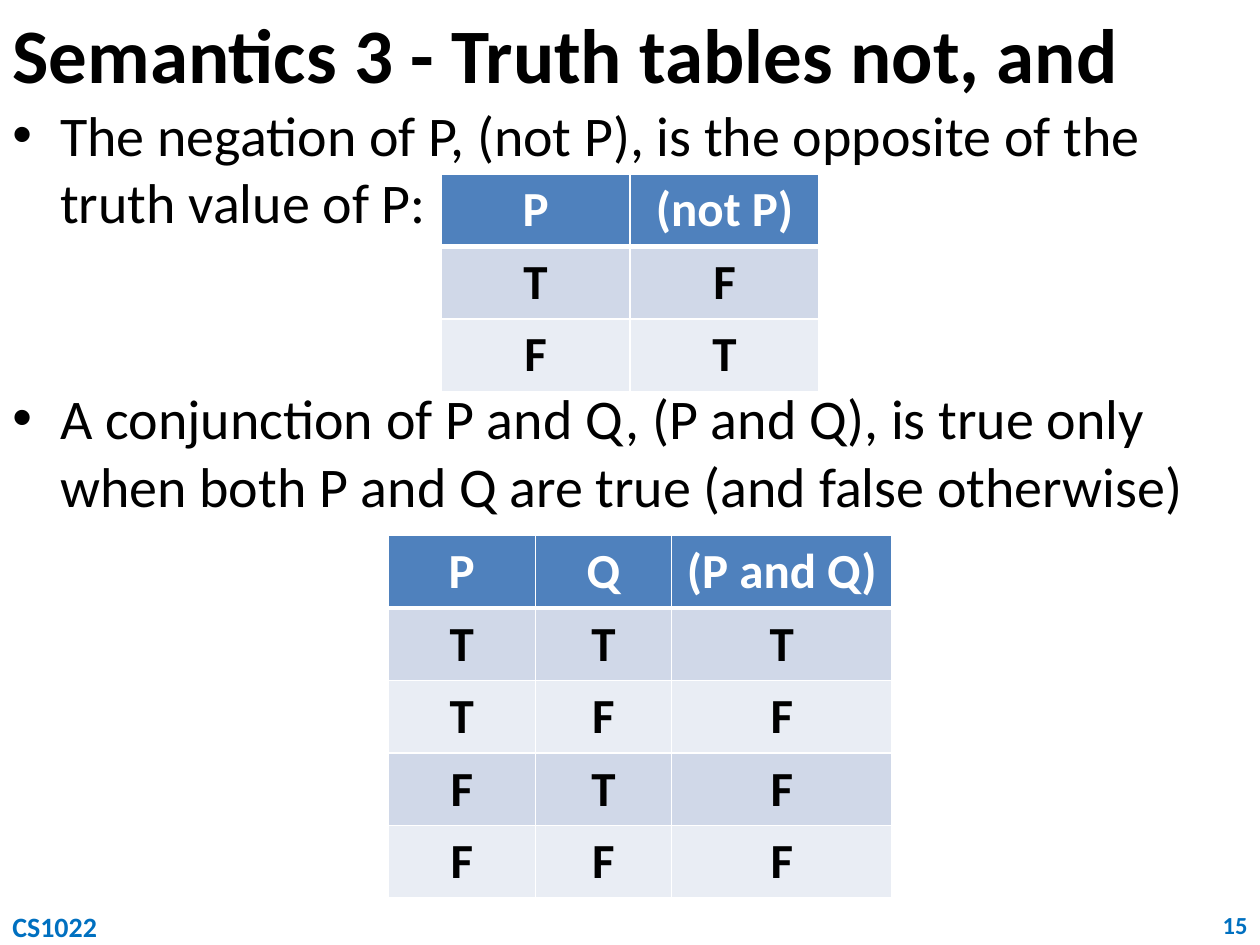
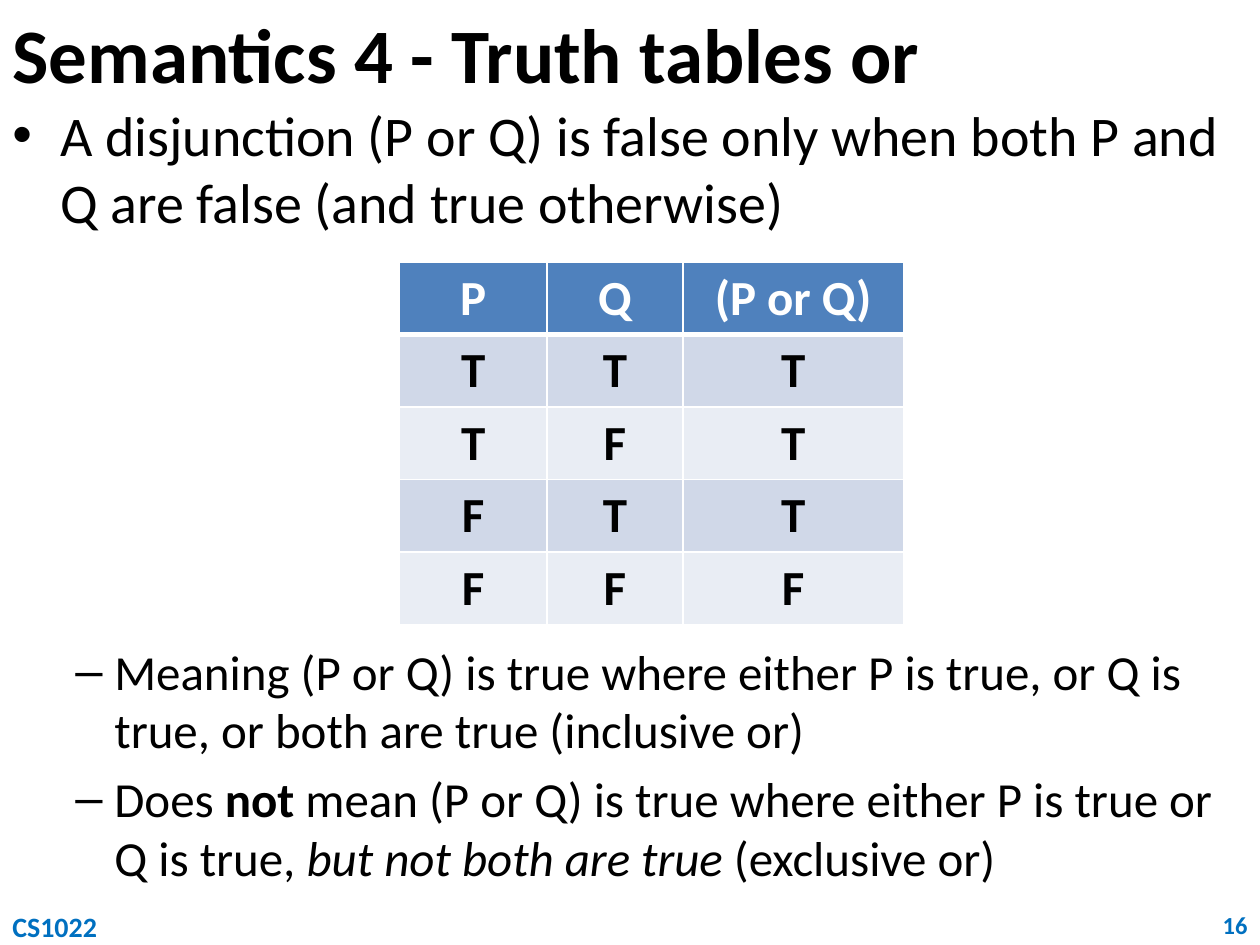
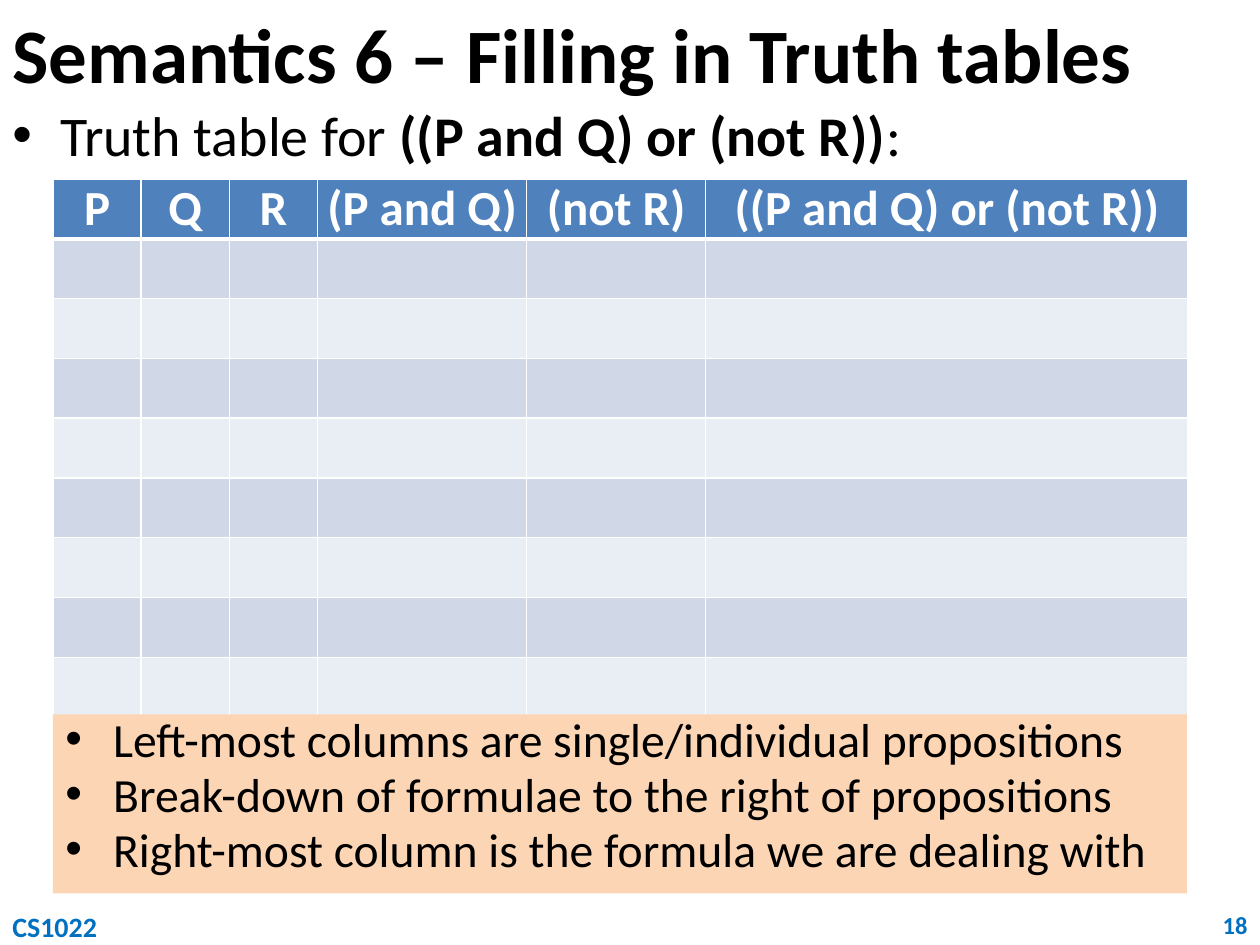
from dataclasses import dataclass
from typing import Sequence

from lxml.etree import SubElement
from pptx import Presentation
from pptx.dml.color import RGBColor
from pptx.enum.shapes import MSO_SHAPE
from pptx.enum.text import MSO_ANCHOR, MSO_AUTO_SIZE, PP_ALIGN
from pptx.oxml.ns import qn
from pptx.util import Inches, Pt

FONT = "Calibri"
BLACK = RGBColor(0x00, 0x00, 0x00)
WHITE = RGBColor(0xFF, 0xFF, 0xFF)
BLUE = RGBColor(0x00, 0x70, 0xC0)
HEAD = RGBColor(0x4F, 0x81, 0xBD)
BANDS = (RGBColor(0xD0, 0xD8, 0xE8), RGBColor(0xE9, 0xED, 0xF4))
PEACH = RGBColor(0xFC, 0xD5, 0xB5)
CELL_SIZE = 28
LINE = CELL_SIZE * 1.22 / 72


@dataclass(frozen=True)
class Run:
    text: str
    bold: bool = False
    slant: bool = False


@dataclass(frozen=True)
class Bullet:
    runs: Sequence[Run]
    size: float = 32
    before: float = 0
    mark: str = "•"
    margin: float = 0.38
    hang: float = 0.38
    pitch: float = 1


@dataclass(frozen=True)
class Grid:
    left: float
    top: float
    widths: Sequence[float]
    head: Sequence[str]
    rows: Sequence[Sequence[str]]
    side: float = 0.1
    edge: float = 0.05


@dataclass(frozen=True)
class Page:
    title: str
    number: int
    points: Sequence[Bullet]
    grids: Sequence[Grid]
    notes: Sequence[Bullet] = ()


def write(para, text: str, *, size: float, color: RGBColor = BLACK,
          bold: bool = False, slant: bool = False, align=PP_ALIGN.LEFT) -> None:
    para.alignment = align
    run = para.add_run()
    run.text = text
    font = run.font
    font.name, font.size, font.bold, font.italic = FONT, Pt(size), bold, slant
    font.color.rgb = color


def setup(frame) -> None:
    frame.word_wrap = True
    frame.auto_size = MSO_AUTO_SIZE.NONE
    frame.vertical_anchor = MSO_ANCHOR.TOP


def place(shape, left: float, top: float, width: float, height: float) -> None:
    shape.left, shape.top = Inches(left), Inches(top)
    shape.width, shape.height = Inches(width), Inches(height)


def add_box(slide, left: float, top: float, width: float, height: float):
    box = slide.shapes.add_textbox(
        Inches(left), Inches(top), Inches(width), Inches(height))
    setup(box.text_frame)
    return box.text_frame


def fill_list(frame, points: Sequence[Bullet]) -> None:
    for index, point in enumerate(points):
        para = frame.add_paragraph() if index else frame.paragraphs[0]
        props = para._p.get_or_add_pPr()
        props.set("marL", str(Inches(point.margin)))
        props.set("indent", str(-Inches(point.hang)))
        SubElement(props, qn("a:buFont"), typeface="Arial")
        SubElement(props, qn("a:buChar"), char=point.mark)
        para.space_before = Pt(point.before)
        para.line_spacing = point.pitch
        for run in point.runs:
            write(para, run.text, size=point.size, bold=run.bold, slant=run.slant)


def rule_cell(cell, is_head: bool) -> None:
    props = cell._tc.get_or_add_tcPr()
    for index, side in enumerate(("lnL", "lnR", "lnT", "lnB")):
        width = 3 if is_head and side == "lnB" else 1
        line = props.makeelement(qn(f"a:{side}"), {"w": str(Pt(width))})
        paint = SubElement(line, qn("a:solidFill"))
        SubElement(paint, qn("a:srgbClr"), val=str(WHITE))
        props.insert(index, line)


def add_grid(slide, grid: Grid) -> None:
    lines = [grid.head, *grid.rows]
    height = Inches(LINE + 2 * grid.edge)
    frame = slide.shapes.add_table(
        len(lines), len(grid.widths), Inches(grid.left), Inches(grid.top),
        Inches(sum(grid.widths)), height * len(lines))
    table = frame.table
    for column, width in zip(table.columns, grid.widths):
        column.width = Inches(width)
    for index, (row, texts) in enumerate(zip(table.rows, lines)):
        row.height = height
        is_head = index == 0
        for cell, text in zip(row.cells, texts):
            cell.margin_left = cell.margin_right = Inches(grid.side)
            cell.margin_top = cell.margin_bottom = Inches(grid.edge)
            cell.vertical_anchor = MSO_ANCHOR.MIDDLE
            cell.fill.solid()
            cell.fill.fore_color.rgb = HEAD if is_head else BANDS[(index - 1) % 2]
            rule_cell(cell, is_head)
            if text:
                write(cell.text_frame.paragraphs[0], text, size=CELL_SIZE, bold=True,
                      color=WHITE if is_head else BLACK, align=PP_ALIGN.CENTER)


def add_notes(slide, notes: Sequence[Bullet]) -> None:
    panel = slide.shapes.add_shape(
        MSO_SHAPE.RECTANGLE, Inches(0.42), Inches(5.67), Inches(9), Inches(1.42))
    panel.shadow.inherit = False
    panel.fill.solid()
    panel.fill.fore_color.rgb = PEACH
    panel.line.fill.background()
    setup(panel.text_frame)
    fill_list(panel.text_frame, notes)


def add_page(deck, page: Page) -> None:
    slide = deck.slides.add_slide(deck.slide_layouts[5])
    title = slide.shapes.title
    place(title, 0, 0, 10, 0.75)
    setup(title.text_frame)
    write(title.text_frame.paragraphs[0], page.title, size=44, bold=True)
    fill_list(add_box(slide, 0, 0.75, 10, 6.42), page.points)
    number = add_box(slide, 9.58, 7.17, 0.42, 0.33)
    write(number.paragraphs[0], str(page.number), size=14, color=BLUE, bold=True,
          align=PP_ALIGN.RIGHT)
    course = add_box(slide, 0, 7.17, 0.92, 0.33)
    write(course.paragraphs[0], "CS1022", size=16, color=BLUE, bold=True)
    for grid in page.grids:
        add_grid(slide, grid)
    if page.notes:
        add_notes(slide, page.notes)


def point(*runs: Run, before: float = 0) -> Bullet:
    return Bullet(runs, before=before)


def dash(*runs: Run, before: float) -> Bullet:
    return Bullet(runs, 28, before, "–", 0.81, 0.31)


def note(text: str, before: float = 5.4) -> Bullet:
    return Bullet([Run(text)], 27.2, before, pitch=0.8)


PAIR = (1.17, 1.08, 1.75)
PAGES = (
    Page(
        "Semantics 3 - Truth tables not, and", 15,
        [point(Run("The negation of P, (not P), is the opposite of the "
                   "truth value of P:")),
         point(Run("A conjunction of P and Q, (P and Q), is true only when "
                   "both P and Q are true (and false otherwise)"), before=85)],
        [Grid(3.5, 1.38, (1.5, 1.5), ("P", "(not P)"), ("TF", "FT")),
         Grid(3.08, 4.25, PAIR, ("P", "Q", "(P and Q)"),
              ("TTT", "TFF", "FTF", "FFF"))],
    ),
    Page(
        "Semantics 4 - Truth tables or", 16,
        [point(Run("A disjunction (P or Q) is false only when both P and Q "
                   "are false (and true otherwise)")),
         dash(Run("Meaning (P or Q) is true where either P is true, or Q is "
                  "true, or both are true (inclusive or)"), before=232),
         dash(Run("Does "), Run("not", bold=True),
              Run(" mean (P or Q) is true where either P is true or Q is true, "),
              Run("but not both are true", slant=True),
              Run(" (exclusive or)"), before=5.6)],
        [Grid(3.17, 2.08, PAIR, ("P", "Q", "(P or Q)"),
              ("TTT", "TFT", "FTT", "FFF"))],
    ),
    Page(
        "Semantics 6 – Filling in Truth tables", 18,
        [point(Run("Truth table for "), Run("((P and Q) or (not R))", bold=True),
               Run(":"))],
        [Grid(0.42, 1.42, (0.7, 0.7, 0.7, 1.66, 1.42, 3.83),
              ("P", "Q", "R", "(P and Q)", "(not R)", "((P and Q) or (not R))"),
              [[""] * 6] * 8, side=0.04, edge=0)],
        [note("Left-most columns are single/individual propositions", before=0),
         note("Break-down of formulae to the right of propositions"),
         note("Right-most column is the formula we are dealing with")],
    ),
)


def main() -> None:
    deck = Presentation()
    deck.slide_width, deck.slide_height = Inches(10), Inches(7.5)
    for page in PAGES:
        add_page(deck, page)
    deck.save("out.pptx")


if __name__ == "__main__":
    main()
